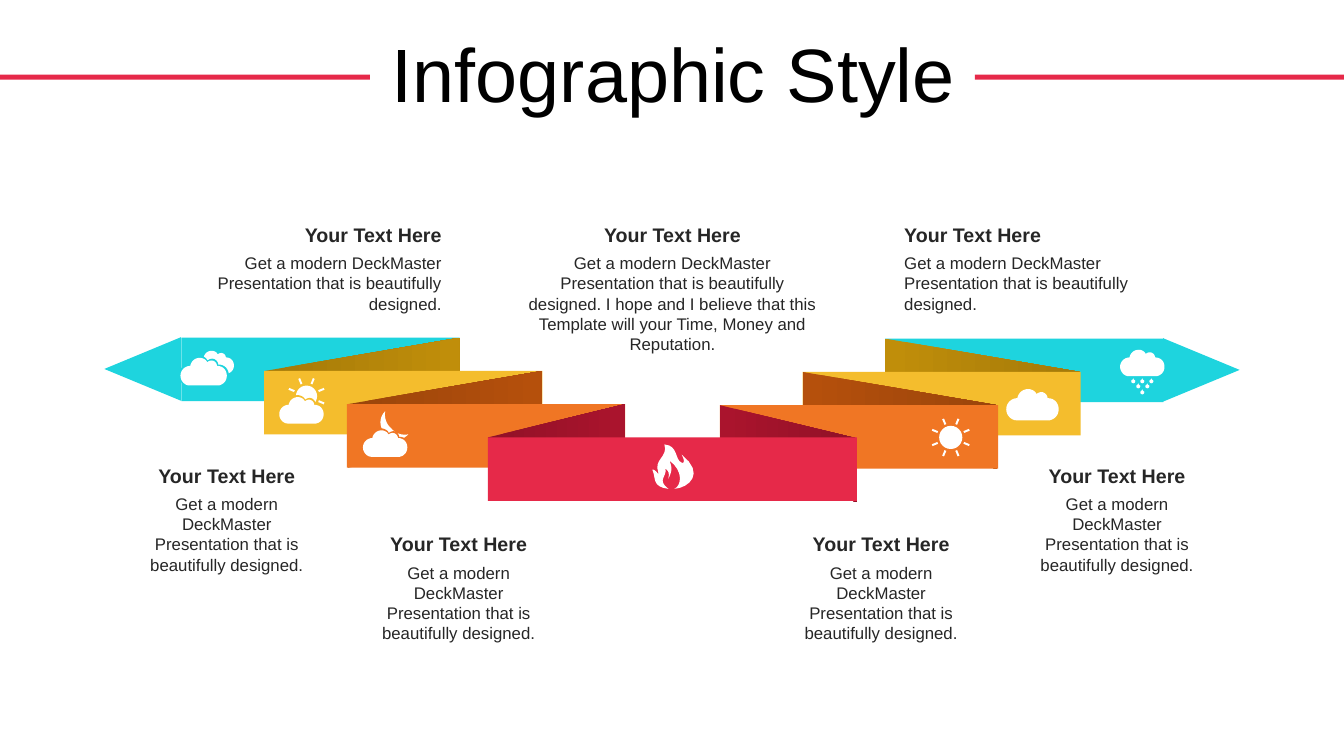
import math

import pptx
import pptx.dml.color
import pptx.enum.shapes
import pptx.enum.text
import pptx.util

Inches = pptx.util.Inches
Pt = pptx.util.Pt
RGB = pptx.dml.color.RGBColor.from_string
MSO = pptx.enum.shapes.MSO_SHAPE
ALIGN = pptx.enum.text.PP_ALIGN
COLORS = {
    "red": "E62949", "cyan": "1ED4DE", "yellow": "F4BD2D", "orange": "F07624",
    "white": "FFFFFF", "title": "000000", "text": "262626",
}

prs = pptx.Presentation()
prs.slide_width, prs.slide_height = Inches(13.33), Inches(7.5)
s = prs.slides.add_slide(prs.slide_layouts[5])


def block(kind, x, y, w, h, color, rotation=0):
    """Add a plain preset shape."""
    sp = s.shapes.add_shape(kind, Inches(x), Inches(y), Inches(w), Inches(h))
    sp.rotation = rotation
    sp.shadow.inherit = False
    sp.fill.solid()
    sp.fill.fore_color.rgb = RGB(COLORS[color])
    sp.line.fill.background()
    return sp


def outline(steps, color):
    """Add a closed outline; a step is a point or the six numbers of a Bezier curve."""
    pts = [steps[0]]
    for step in steps[1:]:
        if len(step) == 2:
            pts.append(step)
            continue
        x0, y0 = pts[-1]
        x1, y1, x2, y2, x3, y3 = step
        for t in (i / 8 for i in range(1, 9)):
            a, b, c, d = (1 - t) ** 3, 3 * t * (1 - t) ** 2, 3 * t * t * (1 - t), t ** 3
            pts.append((a * x0 + b * x1 + c * x2 + d * x3, a * y0 + b * y1 + c * y2 + d * y3))
    pts = [(Inches(x), Inches(y)) for x, y in pts]
    fb = s.shapes.build_freeform(*pts[0])
    fb.add_line_segments(pts[1:], close=True)
    sp = fb.convert_to_shape()
    sp.shadow.inherit = False
    sp.fill.solid()
    sp.fill.fore_color.rgb = RGB(COLORS[color])
    sp.line.fill.background()
    return sp


# Title between two rules
for x in (0, 9.67):
    block(MSO.RECTANGLE, x, 0.74, 3.67, 0.05, "red")
title = s.shapes.title
title.left, title.top, title.width, title.height = map(Inches, (0.35, 0.31, 12.66, 0.92))
tf = title.text_frame
tf.auto_size = pptx.enum.text.MSO_AUTO_SIZE.NONE
tf.vertical_anchor = pptx.enum.text.MSO_ANCHOR.MIDDLE
p = tf.paragraphs[0]
p.alignment = ALIGN.CENTER
p.line_spacing = 0.9
p.space_before = Pt(10)
r = p.add_run()
r.text = "Infographic Style"
r.font.name, r.font.size = "Arial", Pt(54)
r.font.color.rgb = RGB(COLORS["title"])

# Folded ribbon: arrow tips, then a band and its fold per level, left and right
BAND_W, BAND_H, DROP = 2.76, 0.63, 0.33
block(MSO.ISOSCELES_TRIANGLE, 1.1, 3.28, 0.63, 0.76, "cyan", 270)
block(MSO.ISOSCELES_TRIANGLE, 11.6, 3.29, 0.63, 0.76, "cyan", 90)
levels = [
    ("cyan", 1.93, "C08E0A", "A57A09"),
    ("yellow", 1.93, "B5500C", "9B450B"),
    ("orange", 1.36, "AA142D", "921127"),
]
for i, (color, fold_w, light, dark) in enumerate(levels):
    left_x, right_x = 1.8 + 0.82 * i, 8.78 - 0.82 * i
    sides = [
        (left_x, 3.35 + DROP * i, left_x + BAND_W, -fold_w, (dark, light)),
        (right_x, 3.36 + DROP * i, right_x, fold_w, (light, dark)),
    ]
    for x, y, fold_x, dx, shades in sides:
        block(MSO.RECTANGLE, x, y, BAND_W, BAND_H, color)
        fold = outline([(fold_x, y), (fold_x + dx, y + DROP),
                        (fold_x + dx, y + DROP + BAND_H), (fold_x, y + BAND_H)], color)
        fold.fill.gradient()
        fold.fill.gradient_angle = 0
        for stop, position, shade in zip(fold.fill.gradient_stops, (0.03, 0.97), shades):
            stop.position = position
            stop.color.rgb = RGB(shade)
block(MSO.RECTANGLE, 4.84, 4.34, 3.66, BAND_H, "red")

# Sun icons: centre, diameter, ray distance and ray angles
suns = [
    (3.04, 3.93, 0.21, 0.16, (-157.5, -112.5, -67.5, -22.5, 22.5)),
    (9.43, 4.34, 0.23, 0.17, [22.5 + 45 * k for k in range(8)]),
]
for cx, cy, size, reach, angles in suns:
    block(MSO.OVAL, cx - size / 2, cy - size / 2, size, size, "white")
    for angle in angles:
        x = cx + reach * math.cos(math.radians(angle))
        y = cy + reach * math.sin(math.radians(angle))
        block(MSO.RECTANGLE, x - 0.03, y - 0.01, 0.06, 0.02, "white", angle % 360)

# Moon icon
outline([(3.82, 4.08), (3.81, 4.14, 3.83, 4.21, 3.88, 4.25), (3.92, 4.3, 3.98, 4.32, 4.05, 4.31),
         (4.03, 4.33, 4.01, 4.34, 4, 4.35), (3.86, 4.35), (3.79, 4.26),
         (3.76, 4.2, 3.77, 4.13, 3.82, 4.08)], "white")

# Clouds: left, top, width, colour; a band-coloured one cuts a gap behind the next
clouds = [
    (1.94, 3.48, 0.38, "white"), (1.77, 3.53, 0.5, "cyan"), (1.79, 3.55, 0.46, "white"),
    (2.75, 3.92, 0.48, "yellow"), (2.77, 3.94, 0.44, "white"),
    (3.58, 4.25, 0.48, "orange"), (3.6, 4.27, 0.44, "white"),
    (9.98, 3.86, 0.52, "white"), (11.11, 3.47, 0.44, "white"),
]
cloud = [
    (0.22, 0), (0.25, 0, 0.29, 0.02, 0.3, 0.05), (0.31, 0.04, 0.33, 0.03, 0.35, 0.03),
    (0.38, 0.03, 0.41, 0.06, 0.41, 0.09), (0.48, 0.09, 0.52, 0.14, 0.52, 0.2),
    (0.52, 0.26, 0.48, 0.3, 0.43, 0.31), (0.1, 0.31), (0.05, 0.31, 0, 0.26, 0, 0.2),
    (0, 0.14, 0.05, 0.09, 0.11, 0.09), (0.12, 0.04, 0.16, 0, 0.22, 0),
]
for x, y, w, color in clouds:
    k = w / 0.52
    outline([[(y if j % 2 else x) + k * v for j, v in enumerate(step)] for step in cloud], color)

# Raindrops
for x, y in [(11.24, 3.75), (11.33, 3.75), (11.42, 3.75), (11.29, 3.8), (11.38, 3.8), (11.33, 3.86)]:
    outline([(x, y), (x, y + 0.02, x + 0.02, y + 0.02, x + 0.02, y + 0.03),
             (x + 0.02, y + 0.06, x - 0.02, y + 0.06, x - 0.02, y + 0.03),
             (x - 0.02, y + 0.02, x, y + 0.02, x, y)], "white")

# Flame icon
outline([(6.63, 4.85), (6.46, 4.83, 6.51, 4.74, 6.47, 4.66), (6.5, 4.65, 6.54, 4.73, 6.53, 4.69),
         (6.48, 4.55, 6.63, 4.54, 6.59, 4.41), (6.73, 4.42, 6.69, 4.56, 6.76, 4.59),
         (6.78, 4.6, 6.8, 4.58, 6.76, 4.51), (7, 4.7, 6.83, 4.84, 6.69, 4.85),
         (6.76, 4.82, 6.78, 4.67, 6.64, 4.57), (6.68, 4.66, 6.65, 4.7, 6.63, 4.75),
         (6.63, 4.73, 6.65, 4.68, 6.6, 4.65), (6.62, 4.73, 6.51, 4.76, 6.63, 4.85)], "white")

# Captions: left, top, width, body height, alignment, body
short = "Get a modern DeckMaster Presentation that is beautifully designed."
long = short + " I hope and I believe that this Template will your Time, Money and Reputation."
captions = [
    (1.65, 2.16, 2.83, 0.71, ALIGN.RIGHT, short),
    (5.14, 2.16, 3.06, 1.11, ALIGN.CENTER, long),
    (8.87, 2.16, 2.83, 0.71, ALIGN.LEFT, short),
    (1.35, 4.55, 1.8, 0.91, ALIGN.CENTER, short),
    (3.65, 5.23, 1.8, 0.91, ALIGN.CENTER, short),
    (7.84, 5.23, 1.8, 0.91, ALIGN.CENTER, short),
    (10.18, 4.55, 1.8, 0.91, ALIGN.CENTER, short),
]
for x, y, w, body_h, align, body in captions:
    for top, h, text, size, bold in [(y, 0.34, "Your Text Here", 14, True),
                                     (y + 0.3, body_h, body, 12, False)]:
        tf = s.shapes.add_textbox(Inches(x), Inches(top), Inches(w), Inches(h)).text_frame
        tf.word_wrap = True
        p = tf.paragraphs[0]
        p.alignment = align
        r = p.add_run()
        r.text = text
        r.font.name, r.font.size, r.font.bold = "Arial", Pt(size), bold
        r.font.color.rgb = RGB(COLORS["text"])

prs.save("out.pptx")
